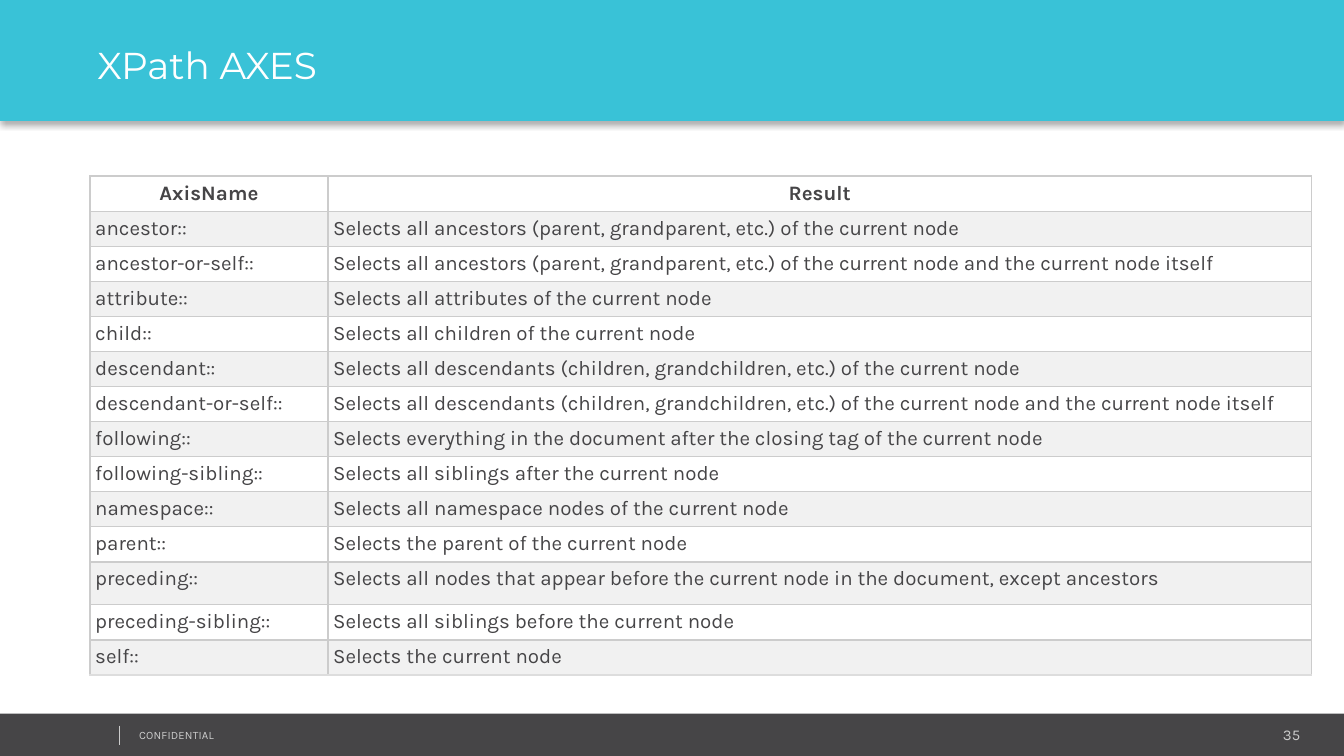
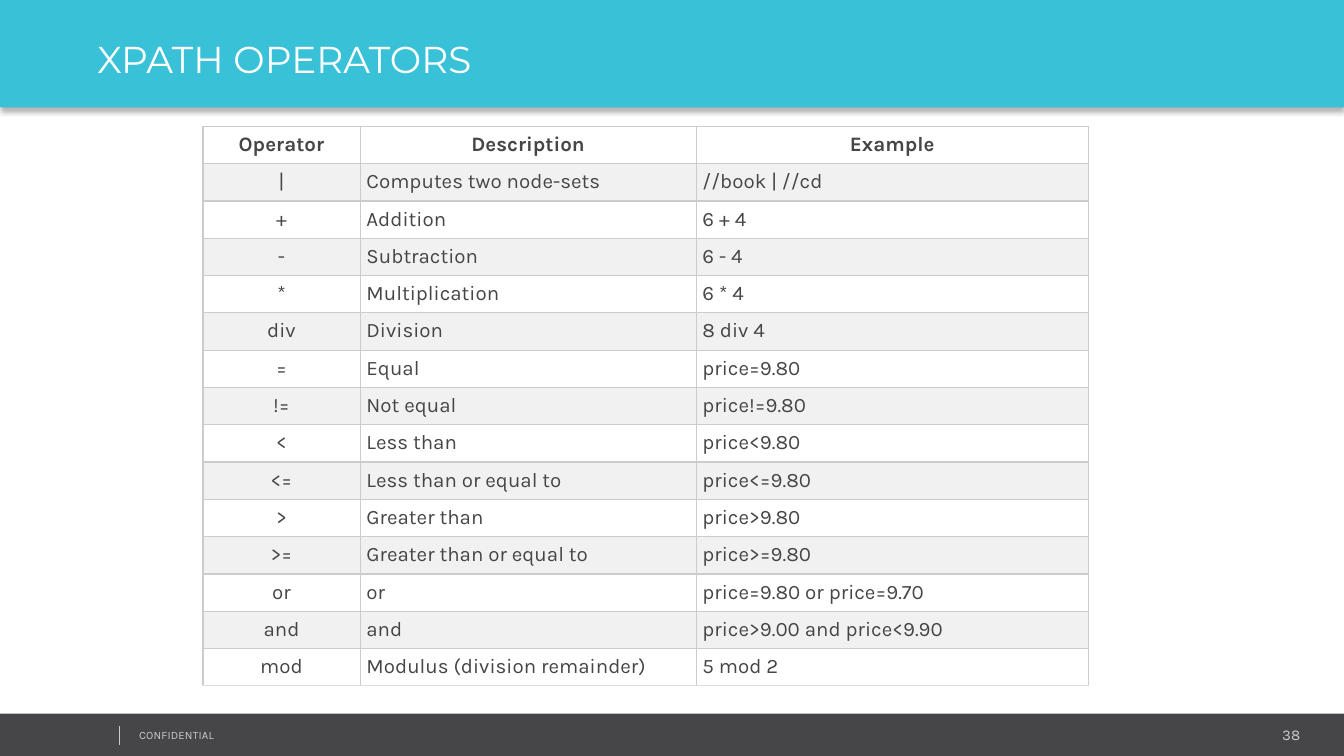
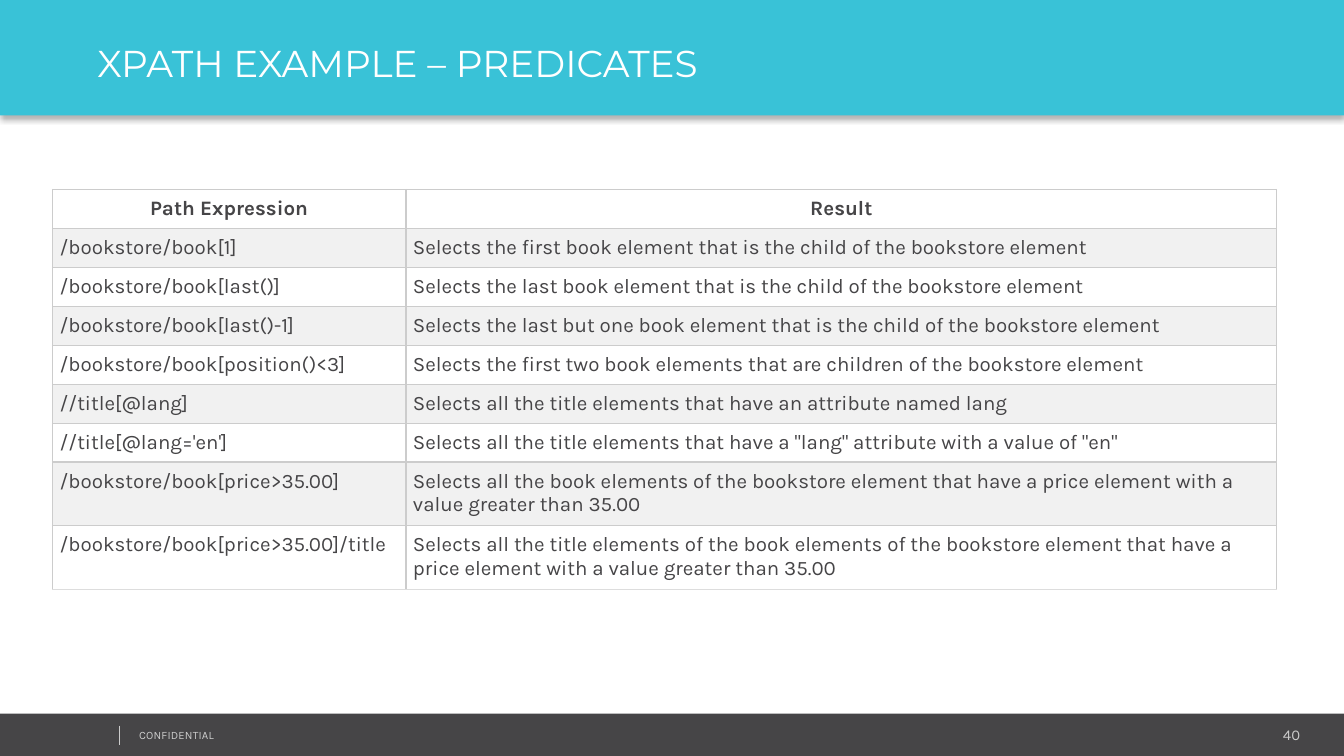
"""Build three XPath reference slides with a shared band, footer and table style."""
from lxml import etree
from pptx import Presentation
from pptx.dml.color import RGBColor
from pptx.enum.shapes import MSO_CONNECTOR, MSO_SHAPE
from pptx.enum.text import MSO_ANCHOR, MSO_AUTO_SIZE, PP_ALIGN
from pptx.oxml.ns import qn
from pptx.util import Inches, Pt

STRAIGHT = MSO_CONNECTOR.STRAIGHT
RECTANGLE = MSO_SHAPE.RECTANGLE
TOP, MIDDLE = MSO_ANCHOR.TOP, MSO_ANCHOR.MIDDLE
GROW = MSO_AUTO_SIZE.SHAPE_TO_FIT_TEXT
LEFT, CENTER, RIGHT = PP_ALIGN.LEFT, PP_ALIGN.CENTER, PP_ALIGN.RIGHT

WIDTH = 10
HEIGHT = WIDTH * 9 / 16
FOOTER_TOP = 5.31
BODY_FONT, TITLE_FONT = "Karla", "Montserrat"
CYAN, DARK, WHITE = "39C2D7", "464547", "FFFFFF"
STRIPE, RULE, LAST_RULE = "F1F1F1", "CCCCCC", "DDDDDD"

SLIDES = [
    {
        "title": "XPath AXES", "number": 35, "band": 0.9,
        "origin": (0.67, 1.31), "columns": (1.77, 7.32), "padding": 2.8,
        "row": 0.26, "tall_rows": {11: 0.32}, "centered": (),
        "rows": [
            ("AxisName", "Result"),
            ("ancestor::", "Selects all ancestors (parent, grandparent, etc.) of the current node"),
            ("ancestor-or-self::", "Selects all ancestors (parent, grandparent, etc.) "
                                   "of the current node and the current node itself"),
            ("attribute::", "Selects all attributes of the current node"),
            ("child::", "Selects all children of the current node"),
            ("descendant::", "Selects all descendants (children, grandchildren, etc.) of the current node"),
            ("descendant-or-self::", "Selects all descendants (children, grandchildren, etc.) "
                                     "of the current node and the current node itself"),
            ("following::", "Selects everything in the document after the closing tag of the current node"),
            ("following-sibling::", "Selects all siblings after the current node"),
            ("namespace::", "Selects all namespace nodes of the current node"),
            ("parent::", "Selects the parent of the current node"),
            ("preceding::", "Selects all nodes that appear before the current node "
                            "in the document, except ancestors"),
            ("preceding-sibling::", "Selects all siblings before the current node"),
            ("self::", "Selects the current node"),
        ],
    },
    {
        "title": "XPATH OPERATORS", "number": 38, "band": 0.8,
        "origin": (1.51, 0.94), "columns": (1.17, 2.5, 2.92), "padding": 3.4,
        "row": 4.16 / 15, "tall_rows": {}, "centered": (0,),
        "rows": [
            ("Operator", "Description", "Example"),
            ("|", "Computes two node-sets", "//book | //cd"),
            ("+", "Addition", "6 + 4"),
            ("-", "Subtraction", "6 - 4"),
            ("*", "Multiplication", "6 * 4"),
            ("div", "Division", "8 div 4"),
            ("=", "Equal", "price=9.80"),
            ("!=", "Not equal", "price!=9.80"),
            ("<", "Less than", "price<9.80"),
            ("<=", "Less than or equal to", "price<=9.80"),
            (">", "Greater than", "price>9.80"),
            (">=", "Greater than or equal to", "price>=9.80"),
            ("or", "or", "price=9.80 or price=9.70"),
            ("and", "and", "price>9.00 and price<9.90"),
            ("mod", "Modulus (division remainder)", "5 mod 2"),
        ],
    },
    {
        "title": "XPATH EXAMPLE – PREDICATES", "number": 40, "band": 0.86,
        "origin": (0.39, 1.41), "columns": (2.63, 6.48), "padding": 3.8,
        "row": 0.29, "tall_rows": {7: 0.47, 8: 0.47}, "centered": (),
        "rows": [
            ("Path Expression", "Result"),
            ("/bookstore/book[1]", "Selects the first book element that is the child of the bookstore element"),
            ("/bookstore/book[last()]", "Selects the last book element that is the child of the bookstore element"),
            ("/bookstore/book[last()-1]",
             "Selects the last but one book element that is the child of the bookstore element"),
            ("/bookstore/book[position()<3]",
             "Selects the first two book elements that are children of the bookstore element"),
            ("//title[@lang]", "Selects all the title elements that have an attribute named lang"),
            ("//title[@lang='en']",
             'Selects all the title elements that have a "lang" attribute with a value of "en"'),
            ("/bookstore/book[price>35.00]", "Selects all the book elements of the bookstore element "
                                             "that have a price element with a value greater than 35.00"),
            ("/bookstore/book[price>35.00]/title",
             "Selects all the title elements of the book elements of the bookstore element "
             "that have a price element with a value greater than 35.00"),
        ],
    },
]


def color(value):
    """Turn a hex string into a colour."""
    return RGBColor.from_string(value)


def child(parent, tag, **attributes):
    """Append a drawing element with the given attributes."""
    element = etree.SubElement(parent, qn(tag))
    for name, value in attributes.items():
        element.set(name, str(value))
    return element


def write(frame, text, size=11, font=BODY_FONT, fill=DARK, bold=False, align=LEFT,
          anchor=TOP, line_spacing=None, indent=0, tracking=0):
    """Put one formatted paragraph into a text frame."""
    frame.word_wrap = True
    frame.vertical_anchor = anchor
    paragraph = frame.paragraphs[0]
    paragraph.alignment = align
    paragraph.line_spacing = line_spacing
    if indent:
        paragraph._p.get_or_add_pPr().set("indent", str(Inches(indent)))
    run = paragraph.add_run()
    run.text = text
    run.font.size, run.font.name, run.font.bold = Pt(size), font, bold
    run.font.color.rgb = color(fill)
    if tracking:
        run.font._element.set("spc", str(round(tracking * 100)))


def set_insets(frame, left, top, right, bottom):
    """Set the inner margins of a text frame or cell in points."""
    frame.margin_left, frame.margin_top = Pt(left), Pt(top)
    frame.margin_right, frame.margin_bottom = Pt(right), Pt(bottom)


def add_band(slide, top, width, height, fill):
    """Add a flat full-width rectangle."""
    band = slide.shapes.add_shape(RECTANGLE, 0, Inches(top), Inches(width), Inches(height))
    band.shadow.inherit = False
    band.fill.solid()
    band.fill.fore_color.rgb = color(fill)
    band.line.fill.background()
    return band


def add_label(slide, box, text, **style):
    """Add a footer text box."""
    label = slide.shapes.add_textbox(*map(Inches, box))
    set_insets(label.text_frame, 5.4, 2.7, 5.4, 2.7)
    write(label.text_frame, text, fill=RULE, **style)
    label.text_frame.auto_size = GROW


def add_footer(slide, number):
    """Add the dark footer with its rule, label and page number."""
    add_band(slide, FOOTER_TOP, WIDTH + 0.01, 0.33, DARK)
    add_label(slide, (8.12, 5.36, 1.63, 0.21), str(number), size=8, align=RIGHT)
    add_label(slide, (0.96, 5.38, 2.53, 0.18), "CONFIDENTIAL", size=6, tracking=0.1)
    rule = slide.shapes.add_connector(STRAIGHT, *map(Inches, (0.89, 5.4, 0.89, 5.54)))
    rule.line.color.rgb = color(RULE)
    rule.line.width = Pt(0.25)
    child(rule._element.spPr, "a:effectLst")


def add_title(slide, title, height):
    """Add the title band with its soft shadow."""
    band = add_band(slide, 0, WIDTH, height, CYAN)
    effects = band._element.spPr.find(qn("a:effectLst"))
    shadow = child(effects, "a:outerShdw", blurRad=Pt(3.1), dist=Pt(2), dir=90 * 60000,
                   algn="t", rotWithShape=0)
    child(child(shadow, "a:srgbClr", val="000000"), "a:alpha", val=30000)
    set_insets(band.text_frame, 22, 2.7, 5.4, 2.7)
    write(band.text_frame, title, size=20, font=TITLE_FONT, fill=WHITE,
          anchor=MIDDLE, line_spacing=1.2, indent=0.42)


def set_borders(cell, bottom):
    """Draw thin borders on the four sides of a cell."""
    properties = cell._tc.get_or_add_tcPr()
    for side in "LRTB":
        line = child(properties, f"a:ln{side}", w=Pt(0.75))
        child(child(line, "a:solidFill"), "a:srgbClr", val=bottom if side == "B" else RULE)


def add_grid(slide, content):
    """Add the striped table."""
    rows, columns = content["rows"], content["columns"]
    heights = [content["tall_rows"].get(index, content["row"]) for index in range(len(rows))]
    box = (*content["origin"], sum(columns), sum(heights))
    table = slide.shapes.add_table(len(rows), len(columns), *map(Inches, box)).table
    table.first_row = table.horz_banding = False
    for column, width in zip(table.columns, columns):
        column.width = Inches(width)
    for row_index, texts in enumerate(rows):
        table.rows[row_index].height = Inches(heights[row_index])
        header, last = row_index == 0, row_index == len(rows) - 1
        for column_index, text in enumerate(texts):
            cell = table.cell(row_index, column_index)
            set_insets(cell, *[content["padding"]] * 4)
            set_borders(cell, LAST_RULE if last else RULE)
            cell.fill.solid()
            cell.fill.fore_color.rgb = color(STRIPE if row_index % 2 else WHITE)
            centered = header or column_index in content["centered"]
            write(cell.text_frame, text, bold=header, align=CENTER if centered else LEFT)


def main():
    """Build and save the presentation."""
    presentation = Presentation()
    presentation.slide_width, presentation.slide_height = Inches(WIDTH), Inches(HEIGHT)
    for content in SLIDES:
        slide = presentation.slides.add_slide(presentation.slide_layouts[6])
        add_footer(slide, content["number"])
        add_title(slide, content["title"], content["band"])
        add_grid(slide, content)
    presentation.save("out.pptx")


if __name__ == "__main__":
    main()
